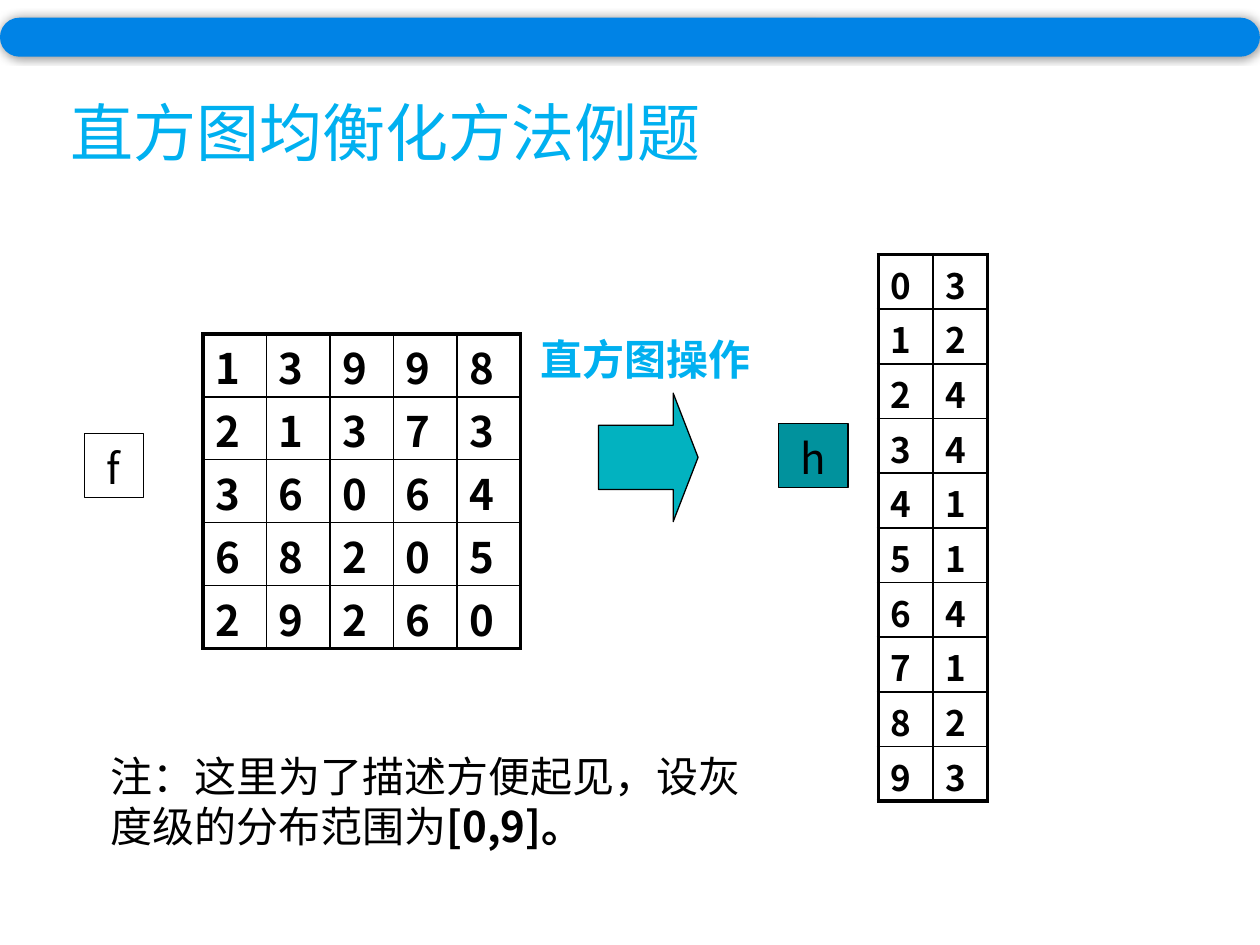
from lxml.etree import SubElement
from pptx import Presentation
from pptx.dml.color import RGBColor
from pptx.enum.shapes import MSO_SHAPE as Shape
from pptx.enum.text import MSO_ANCHOR as Anchor
from pptx.oxml import parse_xml
from pptx.oxml.ns import qn, nsdecls
from pptx.util import Inches, Pt

FONT = "Noto Sans CJK SC"
BLACK, SKY = "000000", "00B0F0"
color = RGBColor.from_string

deck = Presentation()
deck.slide_width, deck.slide_height = Inches(10), Inches(7.5)
slide = deck.slides.add_slide(deck.slide_layouts[6])
shapes = slide.shapes


def place(x, y, w, h):
    """Turn percentages of the slide into left, top, width, height."""
    across, down = deck.slide_width / 100, deck.slide_height / 100
    return [round(v) for v in (x * across, y * down, w * across, h * down)]


def style(paragraph, size, hue=BLACK, bold=False):
    for run in paragraph.runs:
        run.font.name, run.font.size, run.font.bold = FONT, Pt(size), bold
        run.font.color.rgb = color(hue)
        SubElement(run.font._element, qn("a:ea")).set("typeface", FONT)


# Bar, arrow and the two name tags
for kind, area, fill, outlined, adjustments, name in [
    (Shape.ROUNDED_RECTANGLE, (0, 1.87, 100, 4.13), "0083E6", False, [0.5], ""),
    (Shape.RIGHT_ARROW, (47.5, 41.6, 7.9, 13.6), "02B2C0", True, [0.5, 0.25], ""),
    (Shape.RECTANGLE, (6.7, 45.87, 4.7, 6.8), "FFFFFF", True, [], " f"),
    (Shape.RECTANGLE, (61.8, 44.8, 5.5, 6.8), "01929D", True, [], " h"),
]:
    figure = shapes.add_shape(kind, *place(*area))
    figure.shadow.inherit = False
    figure.fill.solid()
    figure.fill.fore_color.rgb = color(fill)
    for i, value in enumerate(adjustments):
        figure.adjustments[i] = value
    if outlined:
        figure.line.color.rgb, figure.line.width = color(BLACK), Pt(0.75)
    else:
        figure.line.fill.background()
        figure._element.spPr.find(qn("a:effectLst")).append(parse_xml(
            f'<a:outerShdw {nsdecls("a")} blurRad="{Pt(5)}" dist="0" dir="0">'
            f'<a:srgbClr val="{BLACK}"><a:alpha val="40000"/></a:srgbClr></a:outerShdw>'))
    if name:
        frame = figure.text_frame
        frame.text = name
        frame.vertical_anchor, frame.margin_top = Anchor.TOP, Inches(0.07)
        frame.paragraphs[0].alignment = 1
        frame.paragraphs[0].line_spacing = Pt(29)
        style(frame.paragraphs[0], 24)

# Title, note and operation label
for area, parts, size, hue in [
    ((4.6, 8.53, 52.5, 17.47), [("直方图均衡化方法例题", False)], 36, SKY),
    ((7.8, 78.13, 52.5, 12.13),
     [("注：这里为了描述方便起见，设灰度级的分布范围为", False), ("[0,9]。", True)], 24, BLACK),
    ((41.9, 34, 21.6, 6.67), [("直方图操作", True)], 24, SKY),
]:
    frame = shapes.add_textbox(*place(*area)).text_frame
    frame.word_wrap, frame.margin_top = True, Inches(0.09)
    paragraph = frame.paragraphs[0]
    paragraph.line_spacing = Pt(round(size * 1.21))
    for words, _ in parts:
        paragraph.add_run().text = words
    style(paragraph, size, hue)
    for run, (_, bold) in zip(paragraph.runs, parts):
        run.font.bold = bold

# Pixel matrix f and its histogram h
pixels = [[int(digit) for digit in row]
          for row in ("13998", "21373", "36064", "68205", "29260")]
flat = sum(pixels, [])
histogram = [[level, flat.count(level)] for level in range(10)]

for area, values, size in [
    ((16.1, 35.33, 25.2, 33.33), pixels, 24),
    ((69.7, 26.93, 8.7, 57.87), histogram, 20),
]:
    last_row, last_col = len(values) - 1, len(values[0]) - 1
    left, top, width, height = place(*area)
    grid = shapes.add_table(last_row + 1, last_col + 1, left, top, width, height).table
    grid.first_row = grid.horz_banding = False
    for r, row in enumerate(values):
        for c, value in enumerate(row):
            cell = grid.cell(r, c)
            cell.text = str(value)
            cell.margin_top = cell.margin_bottom = 0
            cell.vertical_anchor = Anchor.BOTTOM
            style(cell.text_frame.paragraphs[0], size, bold=True)
            # Outer edges are thicker than inner ones
            for side, outer in [("L", c == 0), ("R", c == last_col),
                                ("T", r == 0), ("B", r == last_row)]:
                cell._tc.get_or_add_tcPr().append(parse_xml(
                    f'<a:ln{side} {nsdecls("a")} w="{Pt(2.25 if outer else 1)}">'
                    f'<a:solidFill><a:srgbClr val="{BLACK}"/></a:solidFill></a:ln{side}>'))
            cell.fill.background()

deck.save("out.pptx")
